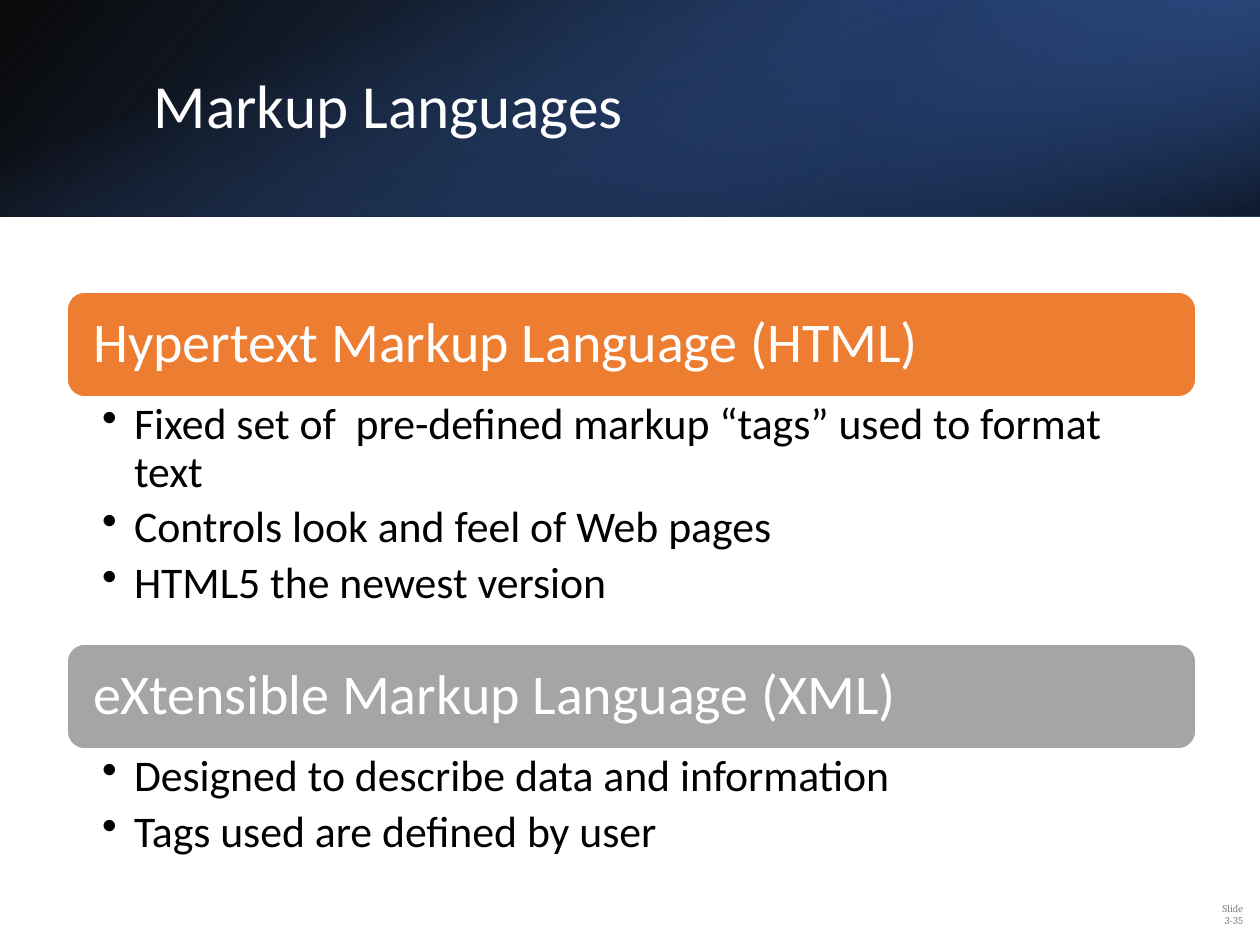
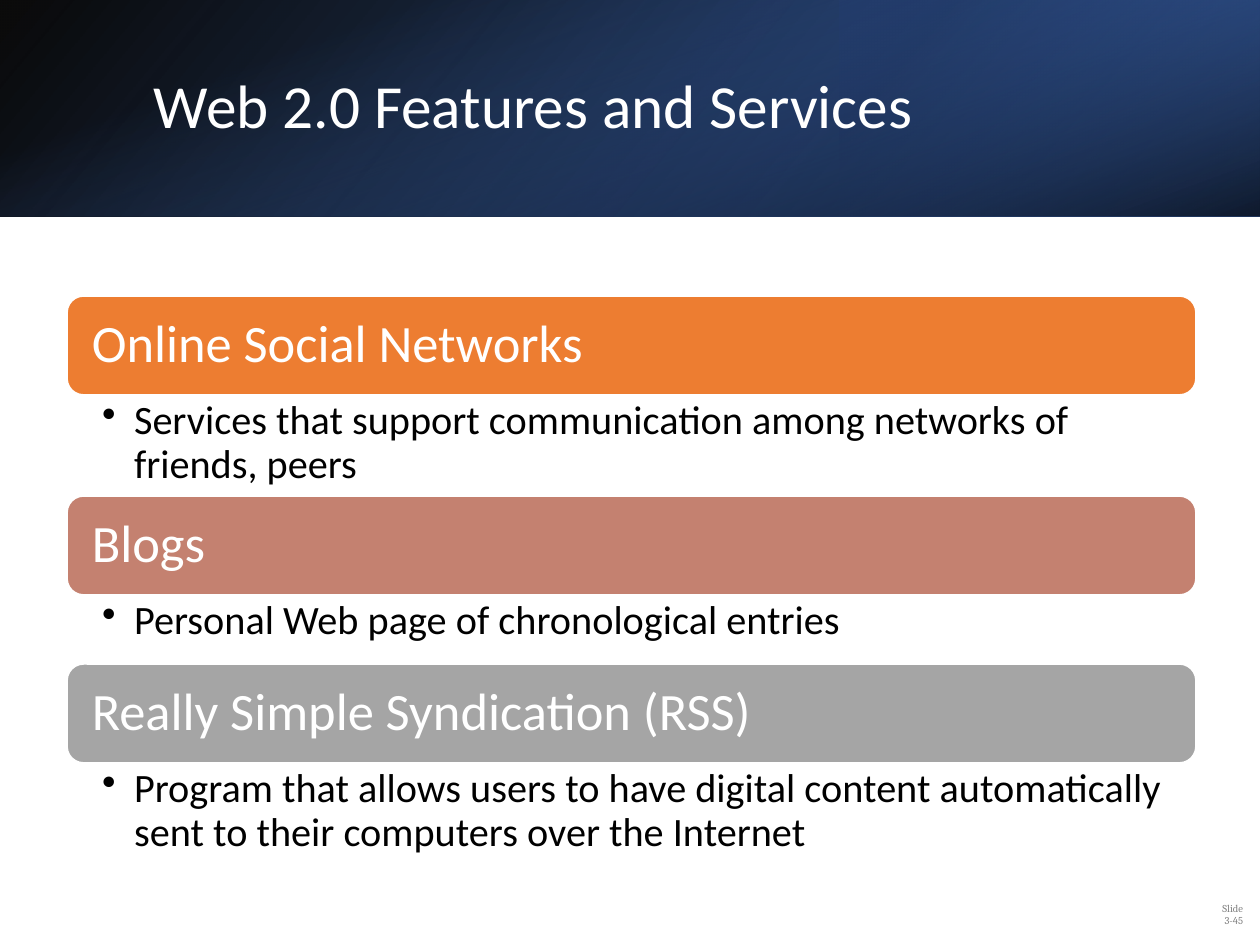
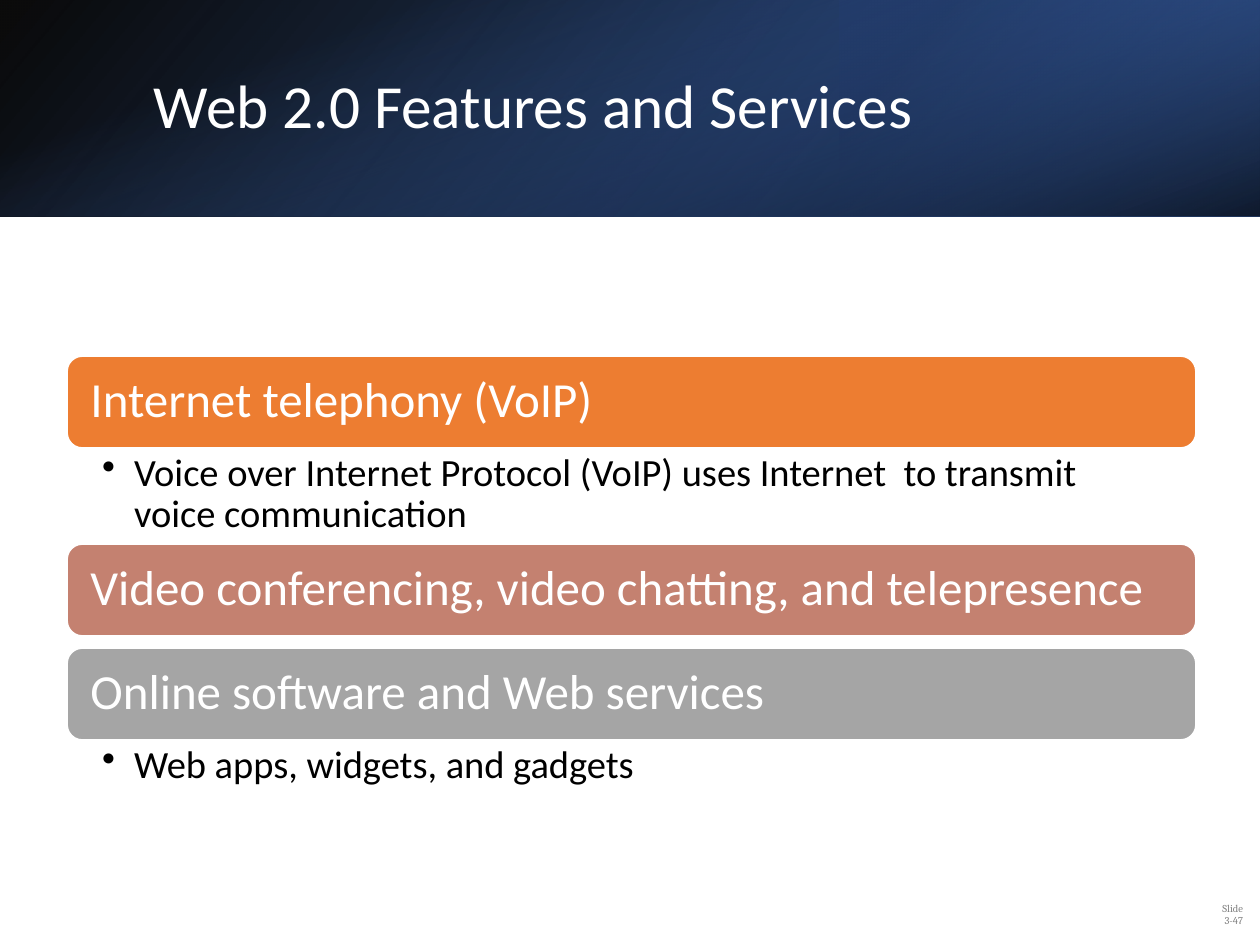
"""Build three slides on markup languages and Web 2.0 features."""
from dataclasses import dataclass

from lxml import etree
from pptx import Presentation
from pptx.dml.color import RGBColor
from pptx.enum.shapes import MSO_SHAPE
from pptx.enum.text import MSO_ANCHOR, PP_ALIGN
from pptx.oxml import parse_xml
from pptx.oxml.ns import nsdecls, qn
from pptx.util import Emu, Pt

RECT = MSO_SHAPE.RECTANGLE
ROUNDED = MSO_SHAPE.ROUNDED_RECTANGLE
TOP, MIDDLE = MSO_ANCHOR.TOP, MSO_ANCHOR.MIDDLE
LEFT, RIGHT = PP_ALIGN.LEFT, PP_ALIGN.RIGHT

EMU_PER_PX = 914400 / 126
SLIDE_W, SLIDE_H, BAND_H = 1260, 945, 217
SECTION_X, SECTION_W = 67, 1129
BULLET_INDENT = 32
BODY_FONT, NUMBER_FONT = "Calibri", "Cambria"
WHITE, BLACK, GREY = "FFFFFF", "000000", "808080"
ORANGE, ROSE, SILVER = "ED7D31", "C48170", "A5A5A5"


@dataclass(frozen=True)
class Stop:
    """A gradient stop, with position and opacity in percent."""
    position: int
    color: str
    opacity: int


@dataclass(frozen=True)
class BandLayer:
    """One gradient layer of the title band."""
    box: tuple[int, int, int, int]
    stops: tuple[Stop, Stop]
    angle: int
    rotation: int = 0
    flipped: bool = False


@dataclass(frozen=True)
class Section:
    """A heading bar and the bullets in the space below it."""
    heading: str
    color: str
    space_below: int
    bullets: tuple[str, ...] = ()


@dataclass(frozen=True)
class Topic:
    """The content and measures of one slide."""
    title: str
    number: str
    top: int
    bar_height: int
    heading_inset: int
    heading_size: int
    bullet_size: int
    sections: tuple[Section, ...]


BAND = (
    BandLayer((0, 0, SLIDE_W, BAND_H),
              (Stop(0, BLACK, 96), Stop(100, "2F5597", 100)), 140, flipped=True),
    BandLayer((840, 0, 420, BAND_H),
              (Stop(19, "203864", 68), Stop(100, "4472C4", 79)), 320, 180, True),
    BandLayer(((SLIDE_W - BAND_H) // 2, (BAND_H - SLIDE_W) // 2, BAND_H, SLIDE_W),
              (Stop(23, "4472C4", 0), Stop(99, BLACK, 74)), 340, 90),
)

TOPICS = (
    Topic("Markup Languages", "Slide 3-35", 292, 105, 21, 32, 25, (
        Section("Hypertext Markup Language (HTML)", ORANGE, 247, (
            "Fixed set of  pre-defined markup “tags” used to format text",
            "Controls look and feel of Web pages",
            "HTML5 the newest version")),
        Section("eXtensible Markup Language (XML)", SILVER, 118, (
            "Designed to describe data and information",
            "Tags used are defined by user")),
    )),
    Topic("Web 2.0 Features and Services", "Slide 3-45", 296, 99, 20, 30, 23, (
        Section("Online Social Networks", ORANGE, 101, (
            "Services that support communication among networks of friends, peers",)),
        Section("Blogs", ROSE, 69, (
            "Personal Web page of chronological entries",)),
        Section("Really Simple Syndication (RSS)", SILVER, 101, (
            "Program that allows users to have digital content automatically "
            "sent to their computers over the Internet",)),
    )),
    Topic("Web 2.0 Features and Services", "Slide 3-47", 356, 92, 19, 28, 22, (
        Section("Internet telephony (VoIP)", ORANGE, 96, (
            "Voice over Internet Protocol (VoIP) uses Internet  to transmit "
            "voice communication",)),
        Section("Video conferencing, video chatting, and telepresence", ROSE, 12),
        Section("Online software and Web services", SILVER, 64, (
            "Web apps, widgets, and gadgets",)),
    )),
)


def px(length: float) -> Emu:
    """Turn pixels into EMU."""
    return Emu(round(length * EMU_PER_PX))


def rgb(color: str) -> RGBColor:
    """Turn a hex string into a colour."""
    return RGBColor.from_string(color)


def write(shape, lines, size: int, color: str, insets, font: str = BODY_FONT,
          anchor=MIDDLE, align=LEFT, space_after: int = 0, bullet: bool = False) -> None:
    """Fill a shape with evenly styled paragraphs."""
    frame = shape.text_frame
    frame.word_wrap = True
    frame.vertical_anchor = anchor
    (frame.margin_left, frame.margin_top,
     frame.margin_right, frame.margin_bottom) = map(px, insets)
    frame.text = "\n".join(lines)
    for paragraph in frame.paragraphs:
        paragraph.alignment = align
        paragraph.line_spacing = 0.9
        paragraph.space_after = Pt(space_after)
        if bullet:
            properties = paragraph._p.get_or_add_pPr()
            properties.set("marL", str(px(BULLET_INDENT)))
            properties.set("indent", str(-px(BULLET_INDENT)))
            etree.SubElement(properties, qn("a:buChar"), char="•")
        paragraph.font.name = font
        paragraph.font.size = Pt(size)
        paragraph.font.color.rgb = rgb(color)


def add_plain_shape(slide, kind, box):
    """Add a preset shape without shadow."""
    shape = slide.shapes.add_shape(kind, *map(px, box))
    shape.shadow.inherit = False
    return shape


def add_band_layer(slide, layer: BandLayer) -> None:
    """Draw a translucent gradient layer of the title band."""
    shape = add_plain_shape(slide, RECT, layer.box)
    shape.line.fill.background()
    shape.rotation = layer.rotation
    properties = shape._element.spPr
    if layer.flipped:
        properties.find(qn("a:xfrm")).set("flipH", "1")
    stops = "".join(
        f'<a:gs pos="{stop.position * 1000}"><a:srgbClr val="{stop.color}">'
        f'<a:alpha val="{stop.opacity * 1000}"/></a:srgbClr></a:gs>'
        for stop in layer.stops)
    gradient = parse_xml(
        f'<a:gradFill {nsdecls("a")} rotWithShape="1"><a:gsLst>{stops}</a:gsLst>'
        f'<a:lin ang="{layer.angle * 60000}" scaled="0"/></a:gradFill>')
    properties.find(qn("a:prstGeom")).addnext(gradient)


def add_title(slide, text: str) -> None:
    """Place the title above the band."""
    title = slide.shapes.title
    title.left, title.top, title.width, title.height = map(px, (141, 48, 1038, 121))
    write(title, [text], 35, WHITE, (13, 6, 13, 6))
    slide.shapes._spTree.append(title._element)


def add_slide_number(slide, text: str) -> None:
    """Write the chapter and slide number in the lower right corner."""
    number = slide.shapes.add_textbox(*map(px, (1209, 890, 47, 50)))
    write(number, [text], 6, GREY, (8, 6, 13, 6), NUMBER_FONT, align=RIGHT, space_after=6)


def add_section(slide, section: Section, topic: Topic, top: int) -> int:
    """Draw a section and return where the next one starts."""
    bar = add_plain_shape(slide, ROUNDED, (SECTION_X, top, SECTION_W, topic.bar_height))
    bar.fill.solid()
    bar.fill.fore_color.rgb = rgb(section.color)
    bar.line.color.rgb = rgb(WHITE)
    bar.line.width = Pt(1)
    inset = topic.heading_inset
    write(bar, [section.heading], topic.heading_size, WHITE, (inset, 0, inset, 0))
    bullets_top = top + topic.bar_height
    if section.bullets:
        details = slide.shapes.add_textbox(
            *map(px, (SECTION_X, bullets_top, SECTION_W, section.space_below)))
        write(details, section.bullets, topic.bullet_size, BLACK, (35, 5, 29, 5),
              anchor=TOP, space_after=5, bullet=True)
    return bullets_top + section.space_below


def add_topic(deck, topic: Topic) -> None:
    """Build one slide."""
    slide = deck.slides.add_slide(deck.slide_layouts[5])
    for layer in BAND:
        add_band_layer(slide, layer)
    add_title(slide, topic.title)
    add_slide_number(slide, topic.number)
    top = topic.top
    for section in topic.sections:
        top = add_section(slide, section, topic, top)


def main() -> None:
    """Build and save the presentation."""
    deck = Presentation()
    deck.slide_width, deck.slide_height = px(SLIDE_W), px(SLIDE_H)
    for topic in TOPICS:
        add_topic(deck, topic)
    deck.save("out.pptx")


if __name__ == "__main__":
    main()
